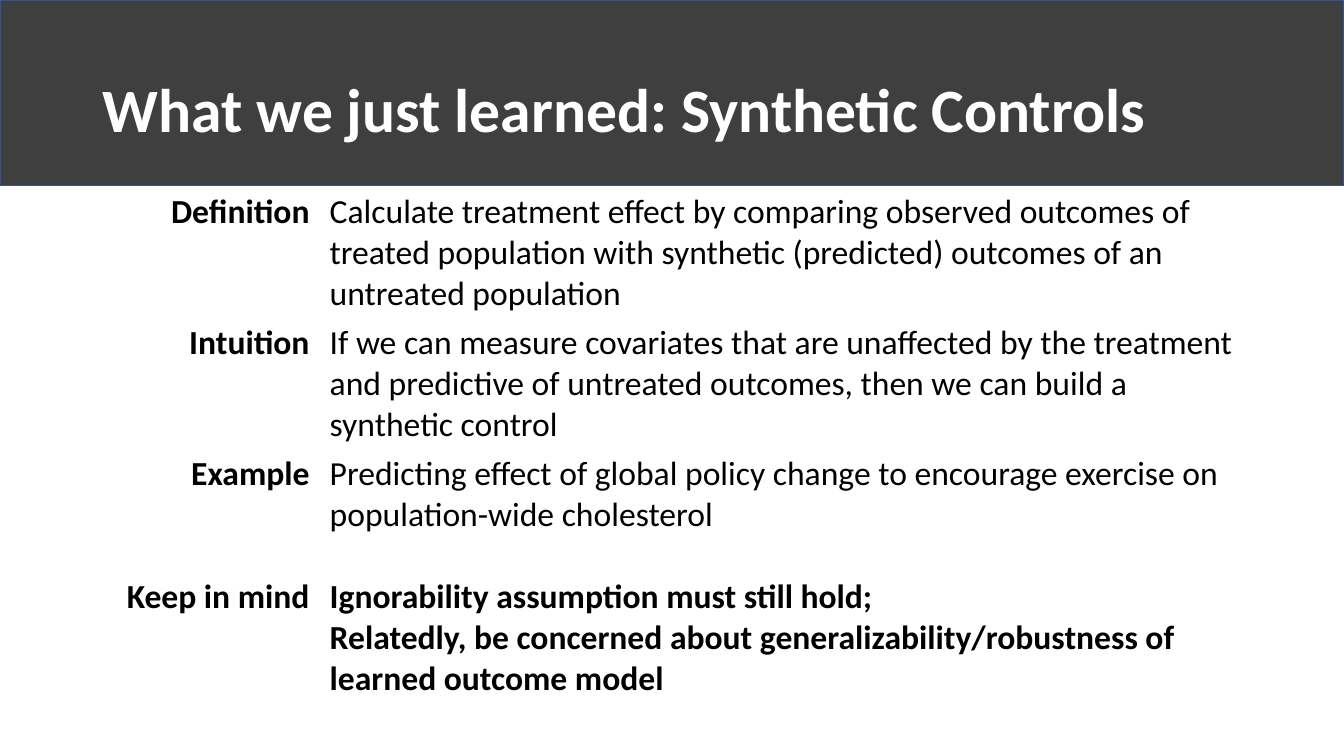
from pptx import Presentation
from pptx.dml.color import RGBColor
from pptx.enum.shapes import MSO_SHAPE
from pptx.enum.text import MSO_ANCHOR, PP_ALIGN
from pptx.util import Inches, Pt

RECT = MSO_SHAPE.RECTANGLE
MIDDLE = MSO_ANCHOR.MIDDLE
LEFT, RIGHT = PP_ALIGN.LEFT, PP_ALIGN.RIGHT

WIDTH, HEIGHT = 13.33, 7.5
MARGIN = 0.92
CONTENT_W = 11.5
BANNER_H = 1.84
LABEL_W = 2.25
ROW_H = 1.22
FONT = "Calibri"

# label, explanation, whether the explanation is bold
SUMMARY = [
    ("Definition", "Calculate treatment effect by comparing observed outcomes of "
     "treated population with synthetic (predicted) outcomes of an untreated population", False),
    ("Intuition", "If we can measure covariates that are unaffected by the treatment "
     "and predictive of untreated outcomes, then we can build a synthetic control", False),
    ("Example", "Predicting effect of global policy change to encourage exercise on "
     "population-wide cholesterol", False),
    ("Keep in mind", "Ignorability assumption must still hold;\v"
     "Relatedly, be concerned about generalizability/robustness of learned outcome model", True),
]


def color(hex_code):
    """Turn a hex string into a colour."""
    return RGBColor.from_string(hex_code)


def write(tf, text, size, hex_code, bold, align=LEFT):
    """Put one styled paragraph into a text frame."""
    p = tf.paragraphs[0]
    p.text = text
    p.alignment = align
    p.font.name = FONT
    p.font.size = Pt(size)
    p.font.bold = bold
    p.font.color.rgb = color(hex_code)
    return p


def add_banner(s, x, y, w, h, title):
    """Draw the dark band with the title in its lower part."""
    band = s.shapes.add_shape(RECT, Inches(x), Inches(y), Inches(w), Inches(h))
    band.shadow.inherit = False
    band.fill.solid()
    band.fill.fore_color.rgb = color("3F3F3F")
    band.line.color.rgb = color("325491")
    band.line.width = Pt(1)

    inset = 0.4
    box = s.shapes.add_textbox(Inches(x + MARGIN), Inches(y + inset),
                               Inches(CONTENT_W), Inches(h - inset))
    tf = box.text_frame
    tf.word_wrap = True
    tf.vertical_anchor = MIDDLE
    write(tf, title, 44, "FFFFFF", True).line_spacing = 0.9


def add_summary(s, x, y, w, rows):
    """Draw the table of right-aligned labels and their explanations."""
    frame = s.shapes.add_table(len(rows), 2, Inches(x), Inches(y),
                               Inches(w), Inches(ROW_H * len(rows)))
    table = frame.table
    table.first_row = table.horz_banding = False
    for column, width in zip(table.columns, (LABEL_W, w - LABEL_W)):
        column.width = Inches(width)
    for i, (label, explanation, strong) in enumerate(rows):
        table.rows[i].height = Inches(ROW_H)
        cells = ((label, True, RIGHT), (explanation, strong, LEFT))
        for j, (text, bold, align) in enumerate(cells):
            cell = table.cell(i, j)
            cell.fill.solid()
            cell.fill.fore_color.rgb = color("FFFFFF")
            write(cell.text_frame, text, 24, "000000", bold, align)


prs = Presentation()
prs.slide_width, prs.slide_height = Inches(WIDTH), Inches(HEIGHT)
s = prs.slides.add_slide(prs.slide_layouts[6])
add_banner(s, 0, 0, WIDTH, BANNER_H, "What we just learned: Synthetic Controls")
add_summary(s, MARGIN, BANNER_H + 0.01, CONTENT_W, SUMMARY)
prs.save("out.pptx")
